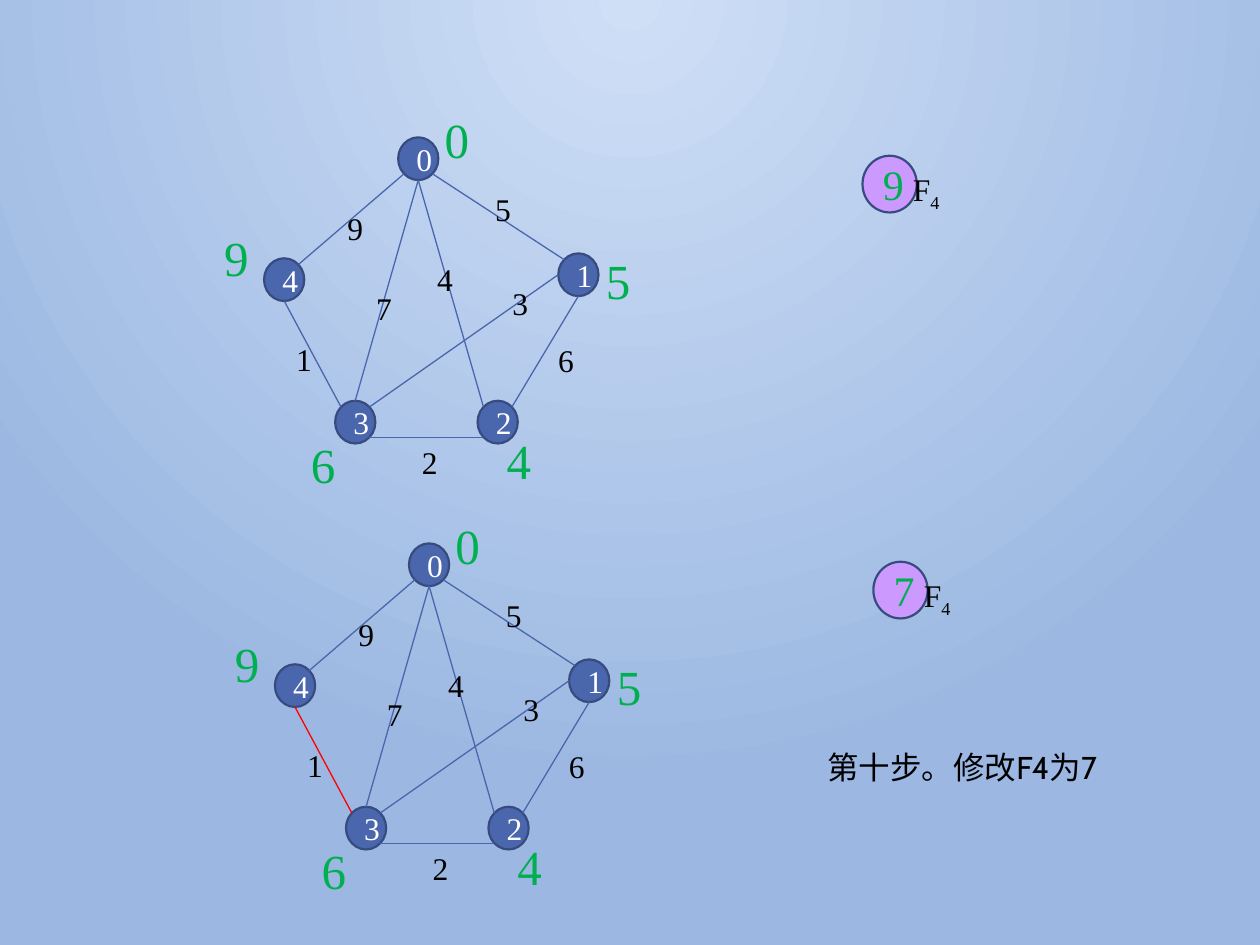
import math

import lxml.etree
import pptx
import pptx.dml.color
import pptx.enum.shapes
import pptx.enum.text
import pptx.oxml.ns
import pptx.util

COLORS = {
    "glow": "CFDFF6",
    "sky": "9CB8E2",
    "node": "4A66AC",
    "outline": "374B7F",
    "marked": "FF0000",
    "value": "00B050",
    "frontier": "CC99FF",
    "text": "000000",
    "white": "FFFFFF",
}
SERIF = "Times New Roman"
NODE_SIZE = (23, 24.4)
NODES = {"0": (239, 90.7), "4": (162.4, 159.8), "3": (203, 241.2),
         "2": (284.4, 241.2), "1": (330.5, 157)}
SITES = {"right": 0, "bottom right": 45, "bottom": 90, "bottom left": 135,
         "left": 180, "top left": 225, "top": 270, "top right": 315}
EDGES = [
    ("0", "bottom left", "4", "top right"),
    ("3", "top left", "4", "bottom"),
    ("1", "top left", "0", "bottom right"),
    ("2", "bottom left", "3", "bottom right"),
    ("1", "bottom", "2", "top right"),
    ("2", "top left", "0", "bottom"),
    ("3", "top", "0", "bottom"),
    ("1", "left", "3", "top right"),
]
WEIGHTS = [("9", 191.5, 116), ("5", 275.8, 105), ("4", 242.8, 145),
           ("7", 207.8, 161.4), ("1", 162.2, 190.8), ("2", 234, 249.8),
           ("3", 285.8, 159), ("6", 311.8, 191.2)]
DISTANCES = [("9", 121, 126.7), ("0", 247, 59), ("6", 170.6, 245),
             ("5", 339.2, 139.7), ("4", 282.4, 242.6)]


class SlideBuilder:
    def __init__(self, slide):
        self.slide = slide
        self.shapes = slide.shapes

    def color(self, name):
        return pptx.dml.color.RGBColor.from_string(COLORS[name])

    def background(self):
        fill = self.slide.background.fill
        fill.gradient()
        for stop, name in zip(fill.gradient_stops, ("glow", "sky")):
            stop.color.rgb = self.color(name)
        qn = pptx.oxml.ns.qn
        linear = self.slide._element.find(".//" + qn("a:lin"))
        gradient = linear.getparent()
        gradient.remove(linear)
        radial = lxml.etree.SubElement(gradient, qn("a:path"), path="circle")
        lxml.etree.SubElement(radial, qn("a:fillToRect"),
                              l="43000", t="0", r="43000", b="100000")

    def style(self, para, size, color, font):
        para.font.size = pptx.util.Pt(size)
        para.font.name = font
        para.font.color.rgb = self.color(color)

    def text(self, words, left, top, width, height, size=18, color="text",
             font=SERIF, wrap=True, subscript=None):
        box = self.shapes.add_textbox(*map(pptx.util.Pt, (left, top, width, height)))
        frame = box.text_frame
        frame.word_wrap = wrap
        frame.auto_size = pptx.enum.text.MSO_AUTO_SIZE.SHAPE_TO_FIT_TEXT
        para = frame.paragraphs[0]
        para.add_run().text = words
        if subscript:
            span = para.add_run()
            span.text = subscript
            span.font._element.set("baseline", "-25000")
        self.style(para, size, color, font)

    def circle(self, words, center, extent, fill, size, color):
        left, top = (c - e / 2 for c, e in zip(center, extent))
        shape = self.shapes.add_shape(
            pptx.enum.shapes.MSO_SHAPE.OVAL, *map(pptx.util.Pt, (left, top, *extent)))
        shape.shadow.inherit = False
        shape.fill.solid()
        shape.fill.fore_color.rgb = self.color(fill)
        shape.line.color.rgb = self.color("outline")
        shape.line.width = pptx.util.Pt(1.25)
        shape.text_frame.vertical_anchor = pptx.enum.text.MSO_ANCHOR.MIDDLE
        para = shape.text_frame.paragraphs[0]
        para.add_run().text = words
        para.alignment = pptx.enum.text.PP_ALIGN.CENTER
        self.style(para, size, color, SERIF)

    def edge(self, start, end, color):
        line = self.shapes.add_connector(
            pptx.enum.shapes.MSO_CONNECTOR.STRAIGHT, *map(pptx.util.Pt, (*start, *end)))
        line.line.color.rgb = self.color(color)
        line.line.width = pptx.util.Pt(0.75)
        lxml.etree.SubElement(line._element.spPr, pptx.oxml.ns.qn("a:effectLst"))

    def graph(self, dx, dy, marked=None):
        def site(node, side):
            angle = math.radians(SITES[side])
            x, y = NODES[node]
            return (x + dx + NODE_SIZE[0] / 2 * math.cos(angle),
                    y + dy + NODE_SIZE[1] / 2 * math.sin(angle))

        self.shapes = self.slide.shapes.add_group_shape().shapes
        for name, (x, y) in NODES.items():
            self.circle(name, (x + dx, y + dy), NODE_SIZE, "node", 18, "white")
        for first, first_side, second, second_side in EDGES:
            color = "marked" if (first, second) == marked else "node"
            self.edge(site(first, first_side), site(second, second_side), color)
        for weight, x, y in WEIGHTS:
            self.text(weight, x + dx, y + dy, 25, 33, wrap=False)
        for distance, x, y in DISTANCES:
            self.text(distance, x + dx, y + dy, 31, 47, 28, "value")
        self.shapes = self.slide.shapes

    def frontier(self, distance, dx, dy):
        self.circle(distance, (508.4 + dx, 105.2 + dy), (31, 32.4), "frontier", 24, "value")
        self.text("F", 514.6 + dx, 93.6 + dy, 42.5, 29, subscript="4")


def main():
    deck = pptx.Presentation()
    deck.slide_width = pptx.util.Pt(720)
    deck.slide_height = pptx.util.Pt(540)
    page = SlideBuilder(deck.slides.add_slide(deck.slide_layouts[6]))
    page.background()
    page.text("第十步。修改F4为7", 465.8, 424, 208, 29, font="Cabin")
    for dx, dy, distance, marked in [(0, 0, "9", None), (6.2, 232, "7", ("3", "4"))]:
        page.graph(dx, dy, marked)
        page.frontier(distance, dx, dy)
    deck.save("out.pptx")


if __name__ == "__main__":
    main()
